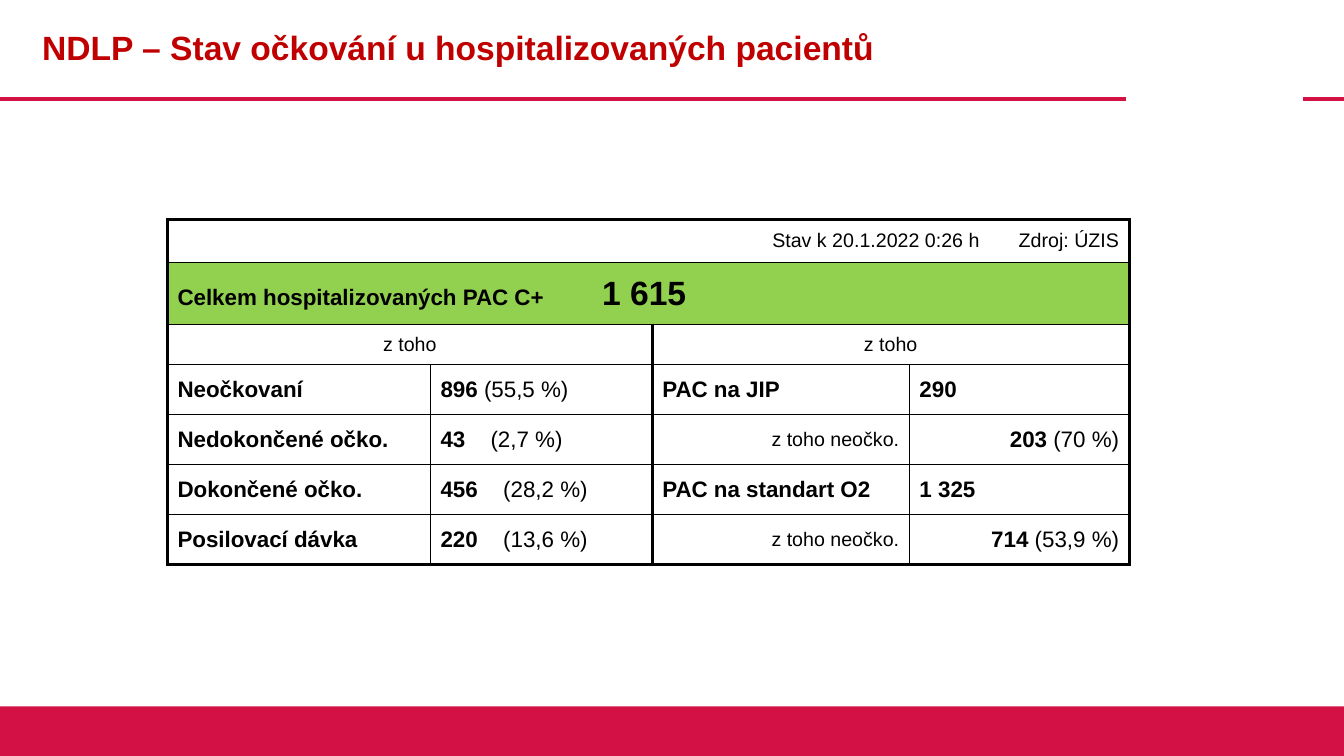
from lxml.etree import SubElement
from pptx import Presentation
from pptx.dml.color import RGBColor
from pptx.enum.shapes import MSO_CONNECTOR, MSO_SHAPE
from pptx.enum.text import MSO_ANCHOR, PP_ALIGN
from pptx.oxml import parse_xml
from pptx.oxml.ns import nsdecls, qn
from pptx.util import Cm, Pt

HEX = {"brand": "D31145", "title": "C00000", "total": "92D050", "ink": "000000", "paper": "FFFFFF"}
TITLE = "NDLP – Stav očkování u hospitalizovaných pacientů"
RULES = [(0, 28.37), (32.84, 33.87)]
COLS = [6.02, 0.41, 5.59, 6.48, 2.03, 3.51]
ROWS = [1.09, 1.55, 1.02] + [1.26] * 4

HEAD = [
    [(0, 1, [], {}), (1, 2, [], {}),
     (3, 2, [("Stav k 20.1.2022 0:26 h", 14, False)], {"align": "r"}),
     (5, 1, [("Zdroj: ÚZIS", 14, False)], {"align": "r"})],
    [(0, 6, [("Celkem hospitalizovaných PAC C+\t", 16, True), ("1 615", 24, True)], {"tab": 10.7})],
    [(0, 3, [("z toho", 14, False)], {"align": "c"}),
     (3, 3, [("z toho", 14, False)], {"align": "c"})],
]
BODY = [
    ("Neočkovaní", "896 ", "(55,5 %)", None, "PAC na JIP", "290", ""),
    ("Nedokončené očko.", "43\t", "(2,7 %)", 1.26, "z toho neočko.", "203", " (70 %)"),
    ("Dokončené očko.", "456\t", "(28,2 %)", 1.58, "PAC na standart O2", "1 325", ""),
    ("Posilovací dávka", "220\t", "(13,6 %)", 1.58, "z toho neočko.", "714 ", "(53,9 %)"),
]
ALIGN = {"l": PP_ALIGN.LEFT, "c": PP_ALIGN.CENTER, "r": PP_ALIGN.RIGHT}


def color(name):
    return RGBColor.from_string(HEX[name])


def write(frame, parts, align="l", ink="ink", tab=None, space=None):
    para = frame.paragraphs[0]
    para.alignment = ALIGN[align]
    if space:
        para.line_spacing = space
    if tab:
        stops = SubElement(para._p.get_or_add_pPr(), qn("a:tabLst"))
        SubElement(stops, qn("a:tab"), pos=str(Cm(tab)), algn="l")
    for text, size, bold in parts:
        run = para.add_run()
        run.text = text
        font = run.font
        font.name, font.size, font.bold = "Arial", Pt(size), bold
        font.color.rgb = color(ink)


def border(cell, widths):
    props = cell._tc.get_or_add_tcPr()
    for i, (side, width) in enumerate(zip("LRTB", widths)):
        paint = f'<a:solidFill><a:srgbClr val="{HEX["ink"]}"/></a:solidFill>' if width else "<a:noFill/>"
        props.insert(i, parse_xml(f'<a:ln{side} {nsdecls("a")} w="{Pt(width)}">{paint}</a:ln{side}>'))


def edge(row, col):
    if col in (0, 6) or (col == 3 and row > 1):
        return 2.25
    return 1 if row > 2 else 0


def body(row):
    name, count, share, tab, unit, value, rate = row
    sub = bool(rate)
    side = {"align": "r" if sub else "l"}
    amount = [(value, 16, True)] + ([(rate, 16, False)] if sub else [])
    return [
        (0, 2, [(name, 16, True)], {}),
        (2, 1, [(count, 16, True), (share, 16, False)], {"tab": tab}),
        (3, 1, [(unit, 14 if sub else 16, not sub)], side),
        (4, 2, amount, side),
    ]


def build(slide):
    grid = slide.shapes.add_table(len(ROWS), len(COLS), Cm(4.22), Cm(5.53), Cm(sum(COLS)), Cm(sum(ROWS))).table
    for col, width in zip(grid.columns, COLS):
        col.width = Cm(width)
    for row, height in zip(grid.rows, ROWS):
        row.height = Cm(height)
    for r, row in enumerate(HEAD + [body(line) for line in BODY]):
        for c, span, parts, style in row:
            cell = grid.cell(r, c)
            if span > 1:
                cell.merge(grid.cell(r, c + span - 1))
            cell.vertical_anchor = MSO_ANCHOR.MIDDLE
            write(cell.text_frame, parts, **style)
            top = 1 if r else 2.25
            base = 1 if r < len(ROWS) - 1 else 2.25
            for k in range(c, c + span):
                part = grid.cell(r, k)
                part.fill.solid()
                part.fill.fore_color.rgb = color("total" if r == 1 else "paper")
                border(part, (edge(r, c), edge(r, c + span), top, base))


def main():
    deck = Presentation()
    deck.slide_width, deck.slide_height = Cm(33.87), Cm(19.05)
    slide = deck.slides.add_slide(deck.slide_layouts[6])
    for start, end in RULES:
        rule = slide.shapes.add_connector(MSO_CONNECTOR.STRAIGHT, Cm(start), Cm(2.5), Cm(end), Cm(2.5))
        rule.line.color.rgb = color("brand")
        rule.line.width = Pt(3)
        SubElement(rule._element.spPr, qn("a:effectLst"))
    band = slide.shapes.add_shape(MSO_SHAPE.RECTANGLE, 0, Cm(17.8), Cm(33.87), Cm(1.25))
    band.shadow.inherit = False
    band.fill.solid()
    band.fill.fore_color.rgb = color("brand")
    band.line.fill.background()
    frame = slide.shapes.add_textbox(Cm(0.81), 0, Cm(27.46), Cm(2.5)).text_frame
    frame.word_wrap = True
    frame.vertical_anchor = MSO_ANCHOR.MIDDLE
    write(frame, [(TITLE, 24, True)], ink="title", space=0.9)
    build(slide)
    deck.save("out.pptx")


if __name__ == "__main__":
    main()
